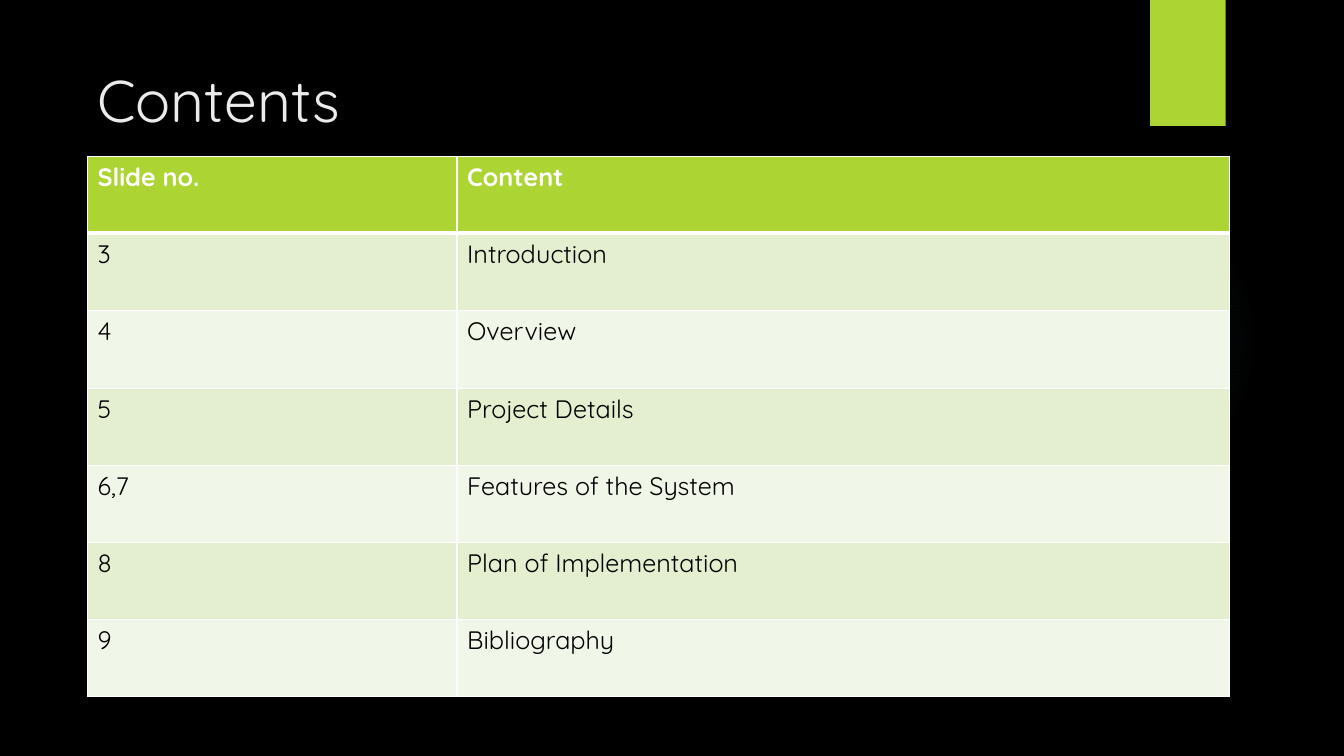
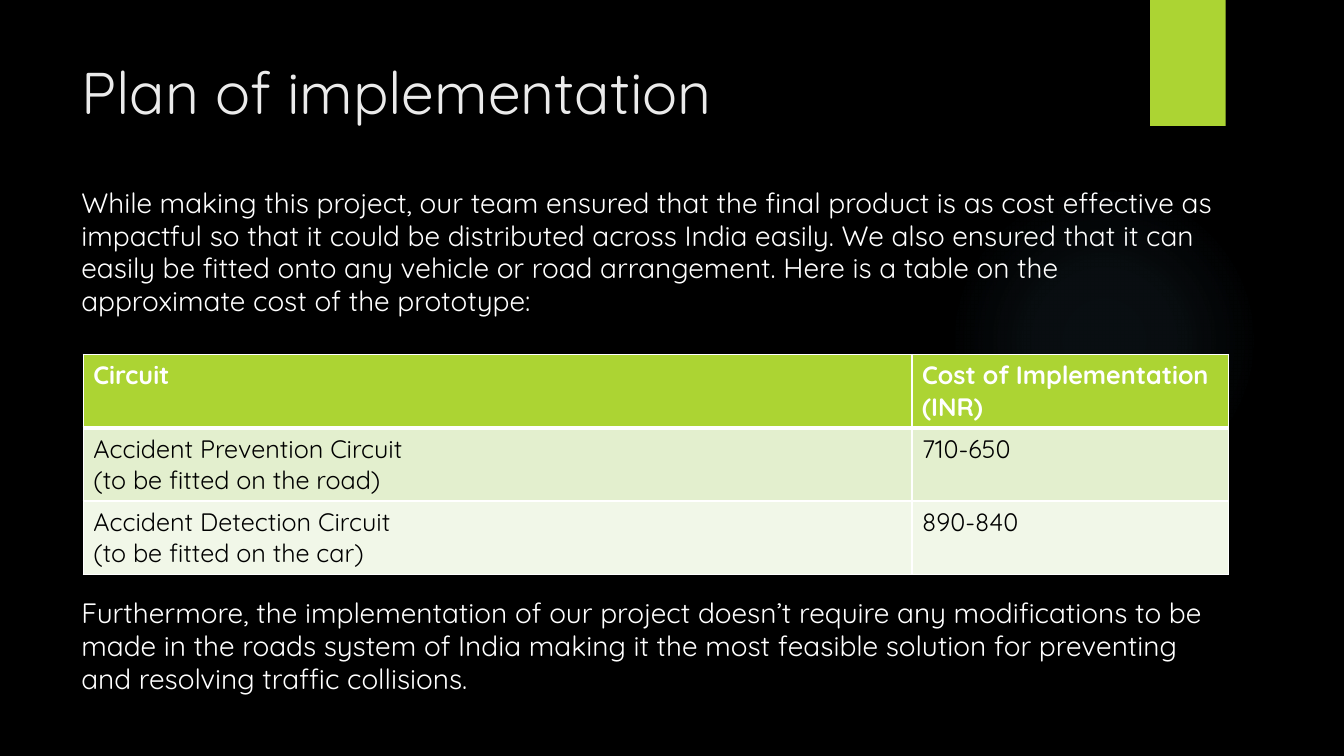
from dataclasses import dataclass

from pptx import Presentation
from pptx.dml.color import RGBColor
from pptx.enum.shapes import MSO_SHAPE as Preset
from pptx.enum.text import MSO_ANCHOR as Anchor, MSO_AUTO_SIZE as AutoSize, PP_ALIGN as Align
from pptx.oxml import parse_xml
from pptx.oxml.ns import nsdecls, qn
from pptx.slide import Slide
from pptx.table import _Cell as Cell
from pptx.text.text import TextFrame
from pptx.util import Pt


@dataclass(frozen=True)
class Theme:
    font: str = "Quicksand"
    background: str = "000000"
    accent: str = "ACD433"
    glow: str = "7AC4F0"
    title: str = "EBEBEB"
    light: str = "FFFFFF"
    dark: str = "000000"
    row_bands: tuple[str, str] = ("E3EFCE", "F1F7E8")
    title_size: float = 42
    body_size: float = 20
    table_size: float = 18
    thin_border: float = 1
    header_border: float = 3


@dataclass(frozen=True)
class TableBlock:
    left: float
    top: float
    column_widths: tuple[float, ...]
    row_heights: tuple[float, ...]
    rows: tuple[tuple[str, ...], ...]


@dataclass(frozen=True)
class TextBlock:
    left: float
    top: float
    width: float
    height: float
    text: str


@dataclass(frozen=True)
class Page:
    title: str
    title_left: float
    title_top: float
    table: TableBlock
    texts: tuple[TextBlock, ...] = ()


THEME = Theme()
TITLE_WIDTH, TITLE_HEIGHT = 741, 110
GLOW_STOPS = ((0, 7), (36, 6), (69, 0))

PAGES = (
    Page(
        "Contents", 62.5, 42,
        TableBlock(
            62.5, 111.6, (264, 552), (55, 55, 56, 55, 55, 55, 55),
            (
                ("Slide no.", "Content"),
                ("3", "Introduction"),
                ("4", "Overview"),
                ("5", "Project Details"),
                ("6,7", "Features of the System"),
                ("8", "Plan of Implementation"),
                ("9", "Bibliography"),
            ),
        ),
    ),
    Page(
        "Plan of implementation", 51, 36,
        TableBlock(
            59.5, 253.2, (592, 226), (52.2, 52.2, 52.2),
            (
                ("Circuit", "Cost of Implementation (INR)"),
                ("Accident Prevention Circuit\v(to be fitted on the road)", "710-650"),
                ("Accident Detection Circuit\v(to be fitted on the car)", "890-840"),
            ),
        ),
        (
            TextBlock(
                51, 130.5, 827, 104.5,
                "While making this project, our team ensured that the final product is as cost "
                "effective as impactful so that it could be distributed across India easily. We "
                "also ensured that it can easily be fitted onto any vehicle or road arrangement. "
                "Here is a table on the approximate cost of the prototype:",
            ),
            TextBlock(
                51, 423.5, 835, 80,
                "Furthermore, the implementation of our project doesn’t require any "
                "modifications to be made in the roads system of India making it the most "
                "feasible solution for preventing and resolving traffic collisions.",
            ),
        ),
    ),
)


def rgb(color: str) -> RGBColor:
    return RGBColor.from_string(color)


def style_text(frame: TextFrame, size: float, color: str, bold: bool = False) -> None:
    for paragraph in frame.paragraphs:
        paragraph.alignment = Align.LEFT
        paragraph.font.name = THEME.font
        paragraph.font.size = Pt(size)
        paragraph.font.bold = bold
        paragraph.font.color.rgb = rgb(color)


def decorate_layout(slide: Slide) -> None:
    """Put the black background, glow and accent band on the slide's layout."""
    layout = slide.slide_layout
    layout.background.fill.solid()
    layout.background.fill.fore_color.rgb = rgb(THEME.background)

    glow = slide.shapes.add_shape(Preset.OVAL, Pt(677.5), Pt(132), Pt(222), Pt(222))
    glow.fill.background()
    stops = "".join(
        f'<a:gs pos="{position * 1000}"><a:srgbClr val="{THEME.glow}">'
        f'<a:alpha val="{opacity * 1000}"/></a:srgbClr></a:gs>'
        for position, opacity in GLOW_STOPS
    )
    gradient = parse_xml(
        f'<a:gradFill {nsdecls("a")}><a:gsLst>{stops}</a:gsLst><a:path path="circle">'
        '<a:fillToRect l="50000" t="50000" r="50000" b="50000"/></a:path></a:gradFill>'
    )
    properties = glow.element.spPr
    properties.replace(properties.find(qn("a:noFill")), gradient)

    band = slide.shapes.add_shape(Preset.RECTANGLE, Pt(821.5), Pt(0), Pt(54), Pt(90))
    band.fill.solid()
    band.fill.fore_color.rgb = rgb(THEME.accent)

    for index, shape in enumerate((glow, band), start=2):
        shape.line.fill.background()
        shape.shadow.inherit = False
        layout.shapes.element.insert(index, shape.element)


def add_title(slide: Slide, page: Page) -> None:
    title = slide.shapes.title
    title.left, title.top = Pt(page.title_left), Pt(page.title_top)
    title.width, title.height = Pt(TITLE_WIDTH), Pt(TITLE_HEIGHT)
    frame = title.text_frame
    frame.text = page.title
    frame.vertical_anchor = Anchor.TOP
    frame.auto_size = AutoSize.NONE
    style_text(frame, THEME.title_size, THEME.title)


def set_borders(cell: Cell, top: float, bottom: float) -> None:
    properties = cell._tc.get_or_add_tcPr()
    thin = THEME.thin_border
    for side, width in (("L", thin), ("R", thin), ("T", top), ("B", bottom)):
        properties.append(parse_xml(
            f'<a:ln{side} {nsdecls("a")} w="{Pt(width)}"><a:solidFill>'
            f'<a:srgbClr val="{THEME.light}"/></a:solidFill></a:ln{side}>'
        ))


def add_table(slide: Slide, block: TableBlock) -> None:
    table = slide.shapes.add_table(
        len(block.rows), len(block.column_widths), Pt(block.left), Pt(block.top),
        Pt(sum(block.column_widths)), Pt(sum(block.row_heights)),
    ).table
    for column, width in zip(table.columns, block.column_widths):
        column.width = Pt(width)
    for row_index, (row, height) in enumerate(zip(table.rows, block.row_heights)):
        row.height = Pt(height)
        is_header = row_index == 0
        fill = THEME.accent if is_header else THEME.row_bands[(row_index - 1) % 2]
        top = THEME.header_border if row_index == 1 else THEME.thin_border
        bottom = THEME.header_border if is_header else THEME.thin_border
        for cell, text in zip(row.cells, block.rows[row_index]):
            cell.text = text
            style_text(cell.text_frame, THEME.table_size,
                       THEME.light if is_header else THEME.dark, bold=is_header)
            set_borders(cell, top, bottom)
            cell.fill.solid()
            cell.fill.fore_color.rgb = rgb(fill)


def add_text(slide: Slide, block: TextBlock) -> None:
    box = slide.shapes.add_textbox(
        Pt(block.left), Pt(block.top), Pt(block.width), Pt(block.height))
    frame = box.text_frame
    frame.word_wrap = True
    frame.auto_size = AutoSize.SHAPE_TO_FIT_TEXT
    frame.text = block.text
    frame.paragraphs[0].line_spacing = 0.97
    style_text(frame, THEME.body_size, THEME.light)


def main() -> None:
    presentation = Presentation()
    presentation.slide_width, presentation.slide_height = Pt(960), Pt(540)
    title_only = presentation.slide_layouts[5]
    for index, page in enumerate(PAGES):
        slide = presentation.slides.add_slide(title_only)
        if index == 0:
            decorate_layout(slide)
        add_title(slide, page)
        add_table(slide, page.table)
        for block in page.texts:
            add_text(slide, block)
    presentation.save("out.pptx")


if __name__ == "__main__":
    main()
